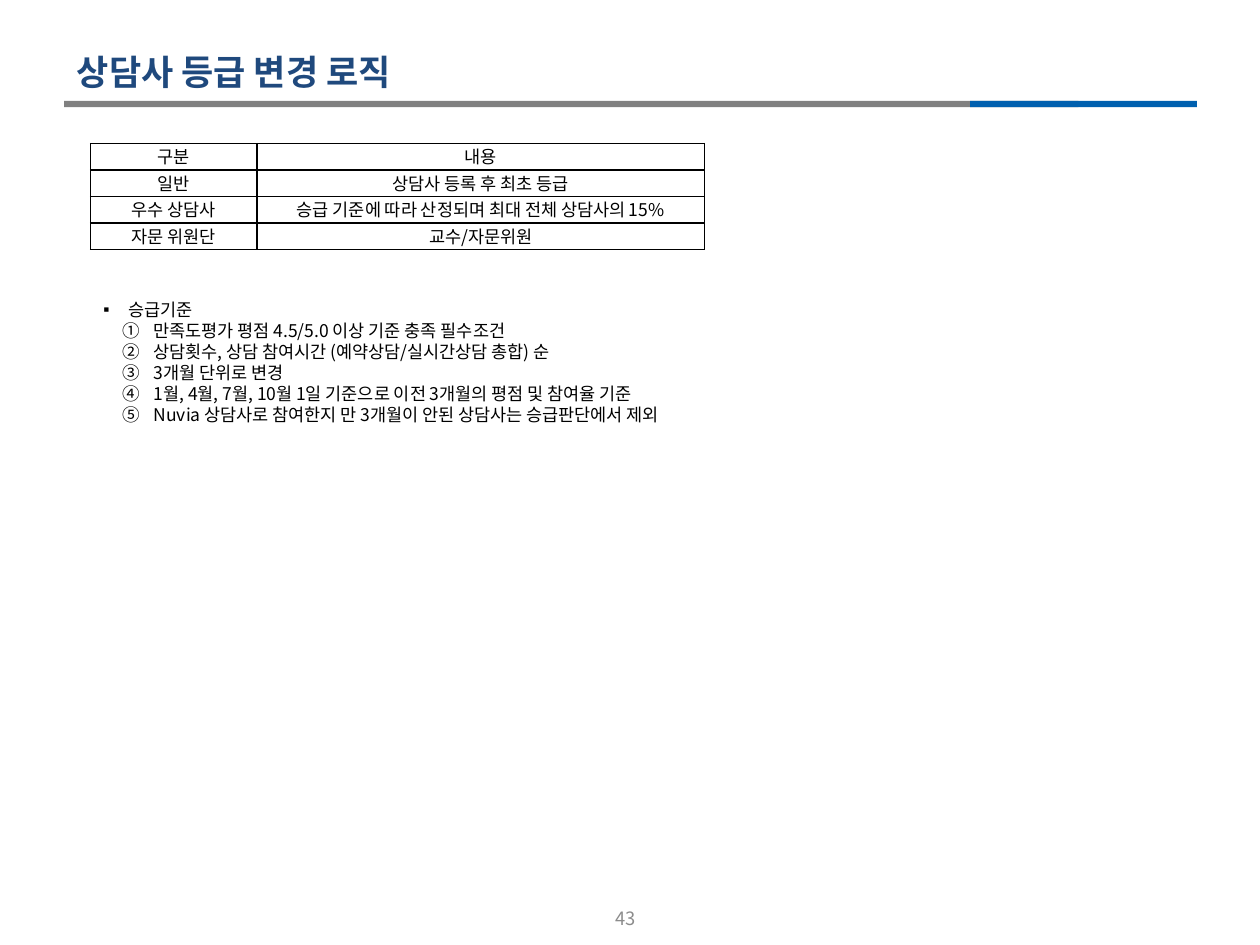
from lxml.etree import SubElement
from pptx import Presentation
from pptx.dml.color import RGBColor
from pptx.enum.shapes import MSO_SHAPE
from pptx.enum.text import MSO_ANCHOR, MSO_AUTO_SIZE, PP_ALIGN
from pptx.oxml.ns import qn
from pptx.util import Inches, Pt

FONT = "Noto Sans CJK KR"
BLACK = RGBColor(0x00, 0x00, 0x00)
NAVY = RGBColor(0x1F, 0x49, 0x7D)
BLUE = RGBColor(0x00, 0x60, 0xAF)
GRAY = RGBColor(0x80, 0x80, 0x80)
PAGE_GRAY = RGBColor(0x8C, 0x8C, 0x8C)

GRADES = [
    ("구분", "내용"),
    ("일반", "상담사 등록 후 최초 등급"),
    ("우수 상담사", "승급 기준에 따라 산정되며 최대 전체 상담사의 15%"),
    ("자문 위원단", "교수/자문위원"),
]
CRITERIA = [
    "만족도평가 평점 4.5/5.0 이상 기준 충족 필수조건",
    "상담횟수, 상담 참여시간 (예약상담/실시간상담 총합) 순",
    "3개월 단위로 변경",
    "1월, 4월, 7월, 10월 1일 기준으로 이전 3개월의 평점 및 참여율 기준",
    "Nuvia 상담사로 참여한지 만 3개월이 안된 상담사는 승급판단에서 제외",
]


def write(p, text, size=10, color=BLACK, bold=False, align=PP_ALIGN.LEFT, leading=None):
    """Write one formatted run into a paragraph."""
    p.alignment = align
    p.space_before = Pt(0)
    if leading:
        p.line_spacing = Pt(leading)
    r = p.add_run()
    r.text = text
    r.font.name = FONT
    r.font.size = Pt(size)
    r.font.bold = bold
    r.font.color.rgb = color
    SubElement(r.font._element, qn("a:ea"), typeface=FONT)


def place(sp, left, top, width, height, anchor=MSO_ANCHOR.TOP, wrap=False):
    """Position a text shape and return its text frame."""
    sp.left, sp.top = Inches(left), Inches(top)
    sp.width, sp.height = Inches(width), Inches(height)
    tf = sp.text_frame
    tf.auto_size = MSO_AUTO_SIZE.NONE
    tf.vertical_anchor = anchor
    tf.word_wrap = wrap
    return tf


def set_bullet(p, tag, indent, hanging, **attrs):
    """Give a paragraph a bullet with a hanging indent."""
    pPr = p._p.get_or_add_pPr()
    pPr.set("marL", str(Inches(indent)))
    pPr.set("indent", str(-Inches(hanging)))
    SubElement(pPr, qn(tag), **attrs)


def add_rule(s, left, top, width, height):
    """Draw the gray title rule with its blue right end."""
    accent = 1.8
    gray_width = 8.05
    group = s.shapes.add_group_shape()
    for x, w, color in ((left, gray_width, GRAY), (left + width - accent, accent, BLUE)):
        sp = group.shapes.add_shape(
            MSO_SHAPE.RECTANGLE, Inches(x), Inches(top), Inches(w), Inches(height))
        sp.shadow.inherit = False
        sp.fill.solid()
        sp.fill.fore_color.rgb = color
        sp.line.fill.background()


def add_header(s, left, top, width):
    """Fill the title and draw the rule below it."""
    tf = place(s.shapes.title, left, top, 3.02, 0.44)
    write(tf.paragraphs[0], "상담사 등급 변경 로직", size=20, color=NAVY, bold=True, leading=24)
    add_rule(s, left, top + 0.45, width, 0.05)


def set_borders(cell):
    """Outline a cell with thin black lines."""
    tcPr = cell._tc.get_or_add_tcPr()
    for i, side in enumerate(("lnL", "lnR", "lnT", "lnB")):
        ln = tcPr.makeelement(qn(f"a:{side}"), {"w": str(Pt(1))})
        tcPr.insert(i, ln)
        fill = SubElement(ln, qn("a:solidFill"))
        SubElement(fill, qn("a:srgbClr"), val=str(BLACK))


def add_grades(s, left, top, widths, row_height):
    """Build the table of counselor grades."""
    table = s.shapes.add_table(
        len(GRADES), len(widths), Inches(left), Inches(top),
        Inches(sum(widths)), Inches(row_height * len(GRADES))).table
    table.first_row = table.horz_banding = False
    for col, width in zip(table.columns, widths):
        col.width = Inches(width)
    for row, texts in zip(table.rows, GRADES):
        row.height = Inches(row_height)
        for cell, text in zip(row.cells, texts):
            cell.margin_left = cell.margin_right = Inches(0.07)
            cell.margin_top = cell.margin_bottom = 0
            cell.fill.background()
            set_borders(cell)
            write(cell.text_frame.paragraphs[0], text, align=PP_ALIGN.CENTER)


def add_criteria(s, left, top, width, height):
    """Fill the body with the numbered promotion criteria."""
    tf = place(s.placeholders[1], left, top, width, height)
    p = tf.paragraphs[0]
    write(p, "승급기준", leading=12)
    set_bullet(p, "a:buChar", 0.2, 0.2, char="▪")
    for text in CRITERIA:
        p = tf.add_paragraph()
        write(p, text, leading=12)
        set_bullet(p, "a:buAutoNum", 0.4, 0.25, type="circleNumDbPlain")


def add_page_number(s, left, top, width, height):
    """Write the page number at the foot."""
    sp = s.shapes.add_textbox(0, 0, 0, 0)
    tf = place(sp, left, top, width, height, anchor=MSO_ANCHOR.MIDDLE, wrap=True)
    write(tf.paragraphs[0], "43", size=10.5, color=PAGE_GRAY, align=PP_ALIGN.CENTER)


def main():
    """Build and save the slide."""
    prs = Presentation()
    prs.slide_width, prs.slide_height = Inches(10), Inches(7.5)
    s = prs.slides.add_slide(prs.slide_layouts[1])
    add_header(s, 0.51, 0.35, 8.99)
    add_grades(s, 0.72, 1.14, (1.32, 3.55), 0.21)
    add_criteria(s, 0.72, 2.32, 5.05, 1.62)
    add_page_number(s, 3.8, 7.09, 2.33, 0.4)
    prs.save("out.pptx")


if __name__ == "__main__":
    main()
